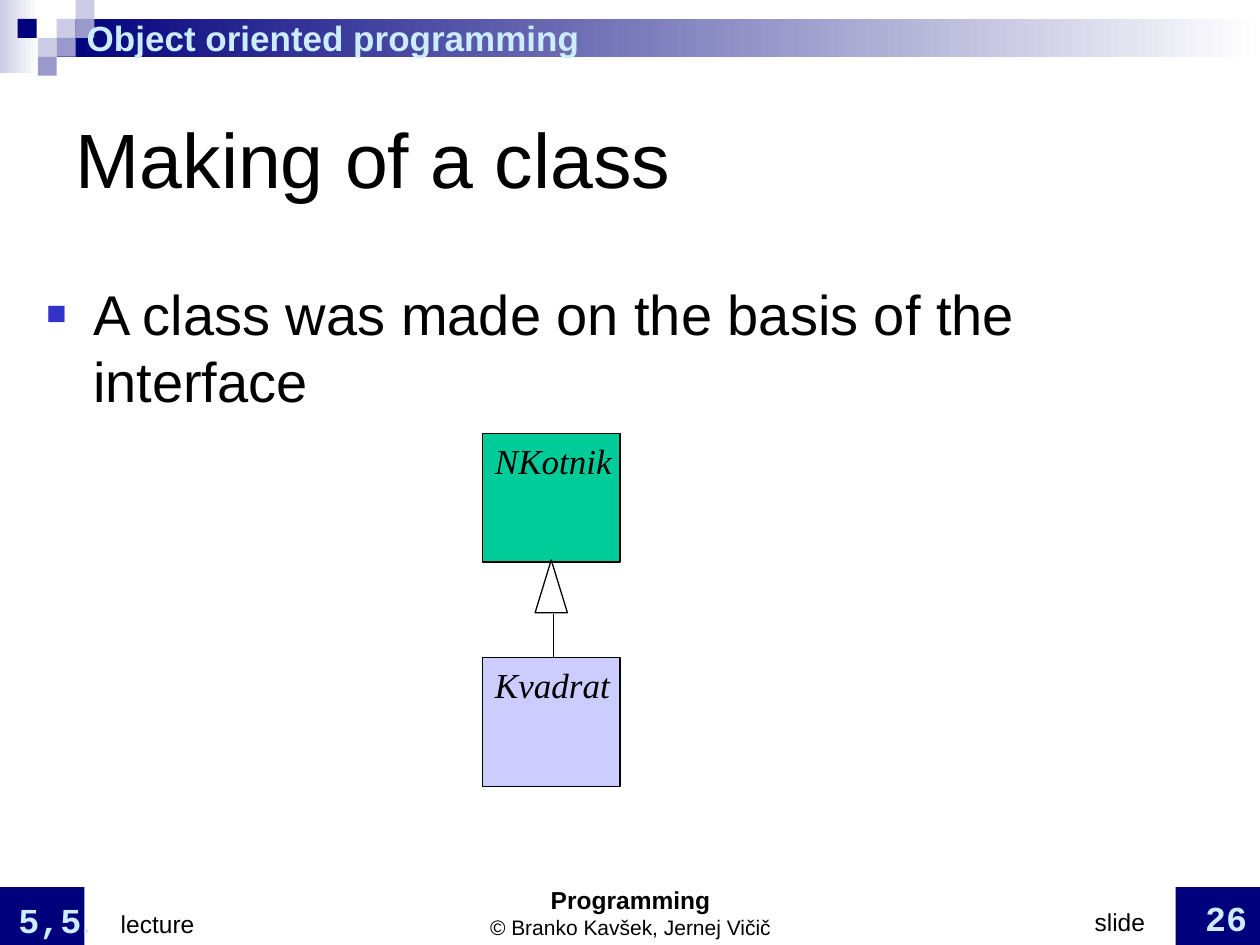
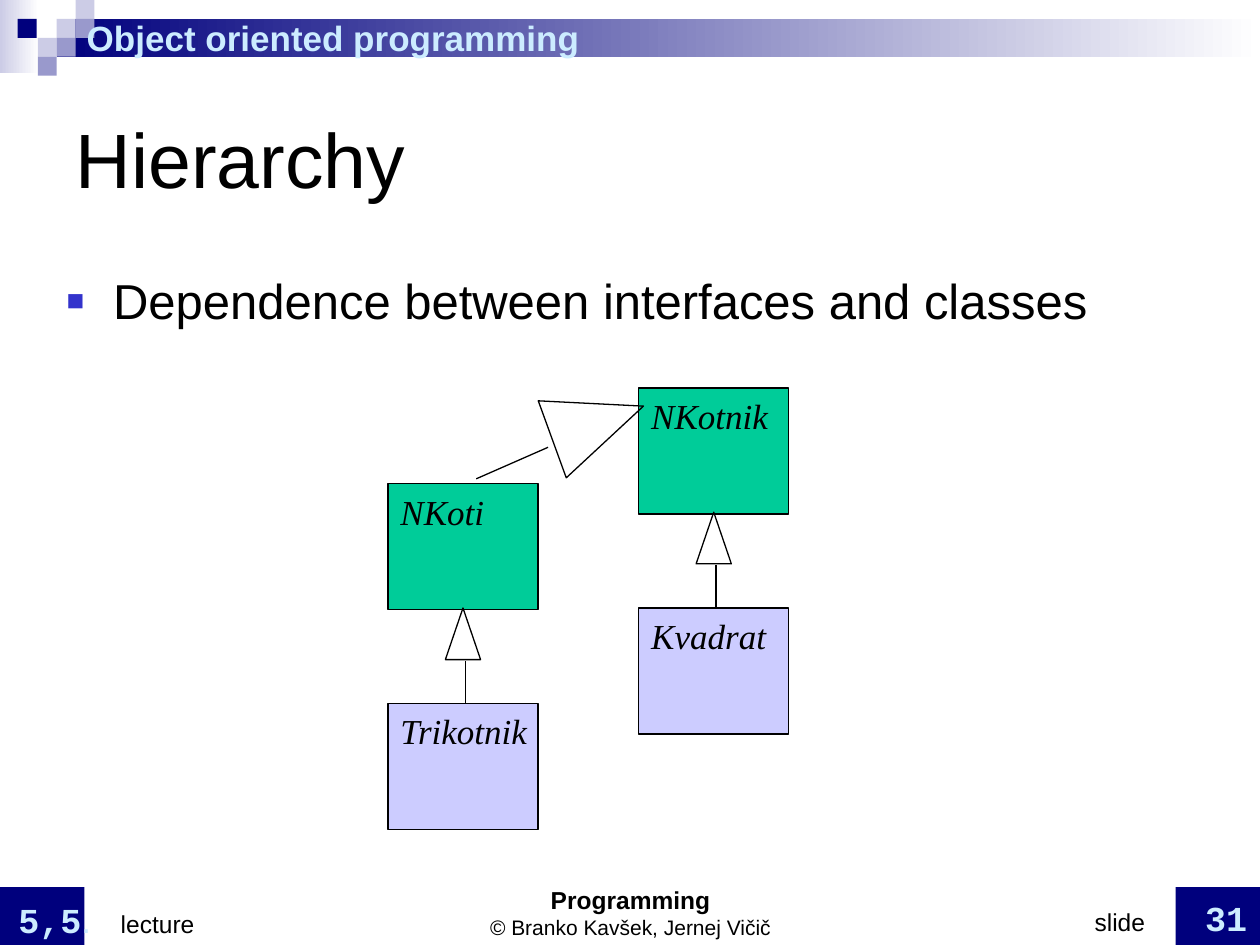
from lxml import etree
from pptx import Presentation
from pptx.dml.color import RGBColor
from pptx.enum.shapes import MSO_CONNECTOR, MSO_SHAPE
from pptx.enum.text import MSO_ANCHOR, MSO_AUTO_SIZE, PP_ALIGN
from pptx.oxml.ns import qn
from pptx.util import Inches, Pt

RECTANGLE = MSO_SHAPE.RECTANGLE
TRIANGLE = MSO_SHAPE.ISOSCELES_TRIANGLE
STRAIGHT = MSO_CONNECTOR.STRAIGHT
TOP, MIDDLE, BOTTOM = MSO_ANCHOR.TOP, MSO_ANCHOR.MIDDLE, MSO_ANCHOR.BOTTOM
LEFT, CENTER = PP_ALIGN.LEFT, PP_ALIGN.CENTER
TITLE_ONLY = 5

BLACK, WHITE = "000000", "FFFFFF"
NAVY, MAUVE, PALE = "00007D", "9999CC", "CCCCE6"
ICE, BULLET_BLUE = "CCECFF", "3333CC"
INTERFACE_GREEN, CLASS_LILAC = "00CC99", "CCCCFF"
SANS, SERIF, MONO = "Arial", "Times New Roman", "Courier New"

MOSAIC = [
    (0.45, 0.15, PALE), (0.6, 0, PALE), (0.6, 0.15, MAUVE),
    (0.3, 0.3, PALE), (0.14, 0.15, NAVY), (0.45, 0.3, MAUVE),
    (0.3, 0.45, MAUVE),
]
TILE = 0.15


def rgb(color):
    return RGBColor.from_string(color)


def format_span(span, size, color=BLACK, font=SANS, bold=False, italic=False):
    span.font.size = Pt(size)
    span.font.name = font
    span.font.bold = bold
    span.font.italic = italic
    span.font.color.rgb = rgb(color)


def add_spans(para, spans):
    """Append (text, size, color, font, bold) spans to the paragraph."""
    for text, *style in spans:
        span = para.add_run()
        span.text = text
        format_span(span, *style)


def set_frame(frame, anchor, vertical_inset=0.05, wrap=True):
    frame.auto_size = MSO_AUTO_SIZE.NONE
    frame.word_wrap = wrap
    frame.vertical_anchor = anchor
    frame.margin_left = frame.margin_right = Inches(0.1)
    frame.margin_top = frame.margin_bottom = Inches(vertical_inset)


def add_text_box(page, area, anchor, vertical_inset=0.05):
    box = page.shapes.add_textbox(*map(Inches, area))
    set_frame(box.text_frame, anchor, vertical_inset)
    return box.text_frame


def add_shape(page, kind, area, fill=None, line=None):
    shape = page.shapes.add_shape(kind, *map(Inches, area))
    shape.shadow.inherit = False
    if fill:
        shape.fill.solid()
        shape.fill.fore_color.rgb = rgb(fill)
    else:
        shape.fill.background()
    if line:
        shape.line.color.rgb = rgb(line)
        shape.line.width = Pt(0.75)
    else:
        shape.line.fill.background()
    return shape


def add_fading_band(page, area, color):
    """Add a band that fades from the color at its left to white."""
    band = add_shape(page, RECTANGLE, area)
    band.fill.gradient()
    band.fill.gradient_angle = 180
    for stop, shade in zip(band.fill.gradient_stops, (WHITE, color)):
        stop.color.rgb = rgb(shade)


def add_line(page, start, end):
    line = page.shapes.add_connector(STRAIGHT, *map(Inches, start + end))
    line.line.color.rgb = rgb(BLACK)
    line.line.width = Pt(0.75)
    properties = line._element.find(qn("p:spPr"))
    etree.SubElement(properties, qn("a:effectLst"))


def add_tab_stops(para, *stops):
    tab_list = etree.SubElement(para._p.get_or_add_pPr(), qn("a:tabLst"))
    for position, alignment in stops:
        etree.SubElement(tab_list, qn("a:tab"),
                         pos=str(Inches(position)), algn=alignment)


def add_square_bullet(para):
    properties = para._p.get_or_add_pPr()
    properties.set("marL", str(Inches(0.37)))
    properties.set("indent", str(Inches(-0.37)))
    color = etree.SubElement(properties, qn("a:buClr"))
    etree.SubElement(color, qn("a:srgbClr"), val=BULLET_BLUE)
    etree.SubElement(properties, qn("a:buSzPct"), val="60000")
    etree.SubElement(properties, qn("a:buFont"), typeface=SANS)
    etree.SubElement(properties, qn("a:buChar"), char="■")


def add_header(page):
    add_fading_band(page, (0, 0, 0.31, 0.58), PALE)
    add_fading_band(page, (0.45, 0.15, 9.55, 0.3), NAVY)
    for left, top, color in MOSAIC:
        add_shape(page, RECTANGLE, (left, top, TILE, TILE), color)
    frame = add_text_box(page, (0.59, 0.15, 7.4, 0.29), MIDDLE, 0.01)
    add_spans(frame.paragraphs[0],
              [("Object oriented programming", 20, ICE, SANS, True)])


def add_footer(page, number):
    for left in (9.33, 0):
        add_shape(page, RECTANGLE, (left, 7.04, 0.67, 0.47), NAVY)

    course = add_text_box(page, (3.27, 7.01, 3.47, 0.5), BOTTOM)
    course.text = "Programming\n© Branko Kavšek, Jernej Vičič"
    for para, size, bold in zip(course.paragraphs, (14, 12), (True, False)):
        para.alignment = CENTER
        format_span(para.runs[0], size, bold=bold)

    counter = add_text_box(page, (6.89, 7, 3.12, 0.5), BOTTOM).paragraphs[0]
    add_tab_stops(counter, (2.1, "r"), (2.91, "r"))
    add_spans(counter, [("\tslide\t", 14, BLACK, SANS),
                        (number, 20, ICE, MONO, True)])

    lecture = add_text_box(page, (-0.12, 6.99, 2.28, 0.52), BOTTOM).paragraphs[0]
    add_tab_stops(lecture, (0.98, "l"))
    add_spans(lecture, [(" 5,5", 20, ICE, MONO, True),
                        (".", 20, ICE, SANS),
                        ("\tlecture", 14, BLACK, SANS)])


def set_title(page, text):
    title = page.shapes.title
    title.left, title.top = Inches(0.5), Inches(0.65)
    title.width, title.height = Inches(9), Inches(1.2)
    set_frame(title.text_frame, MIDDLE)
    title.text_frame.text = text
    para = title.text_frame.paragraphs[0]
    para.alignment = LEFT
    format_span(para.runs[0], 44)


def add_statement(page, area, text, size):
    para = add_text_box(page, area, TOP).paragraphs[0]
    para.text = text
    para.space_before = Pt(size / 4)
    add_square_bullet(para)
    format_span(para.runs[0], size)


def add_type_box(page, area, name, fill):
    box = add_shape(page, RECTANGLE, area, fill, BLACK)
    set_frame(box.text_frame, TOP, wrap=False)
    box.text_frame.text = name
    para = box.text_frame.paragraphs[0]
    para.alignment = LEFT
    para.space_before = Pt(5)
    format_span(para.runs[0], 20, font=SERIF, italic=True)


def add_inheritance(page, area, interface_name, class_name):
    """Draw an interface with its class below and a hollow arrow between."""
    left, top, width, height = area
    class_top = top + 1.745 * height
    add_type_box(page, area, interface_name, INTERFACE_GREEN)
    add_type_box(page, (left, class_top, width, height), class_name, CLASS_LILAC)

    head_width, head_height = 0.235 * width, 0.41 * height
    head_top = top + 0.985 * height
    head_left = left + (width - head_width) / 2
    add_shape(page, TRIANGLE, (head_left, head_top, head_width, head_height),
              line=BLACK)
    stem = left + 0.515 * width
    add_line(page, (stem, class_top), (stem, head_top + head_height + 0.01))


def add_page(deck, title, number):
    page = deck.slides.add_slide(deck.slide_layouts[TITLE_ONLY])
    add_header(page)
    add_footer(page, number)
    set_title(page, title)
    return page


def main():
    deck = Presentation()
    deck.slide_width, deck.slide_height = Inches(10), Inches(7.5)

    page = add_page(deck, "Making of a class", "26")
    add_statement(page, (0.27, 2.17, 9.45, 4.82),
                  "A class was made on the basis of the interface", 32)
    add_inheritance(page, (3.83, 3.44, 1.09, 1.02), "NKotnik", "Kvadrat")

    page = add_page(deck, "Hierarchy", "31")
    add_statement(page, (0.43, 2.1, 8.5, 4.5),
                  "Dependence between interfaces and classes", 28)
    add_inheritance(page, (5.07, 3.08, 1.19, 1), "NKotnik", "Kvadrat")
    slanted_head = add_shape(page, TRIANGLE, (4.42, 2.97, 0.65, 0.77), line=BLACK)
    slanted_head.rotation = 70
    add_line(page, (3.78, 3.8), (4.35, 3.55))
    add_inheritance(page, (3.08, 3.84, 1.19, 1), "NKoti", "Trikotnik")

    deck.save("out.pptx")


if __name__ == "__main__":
    main()
